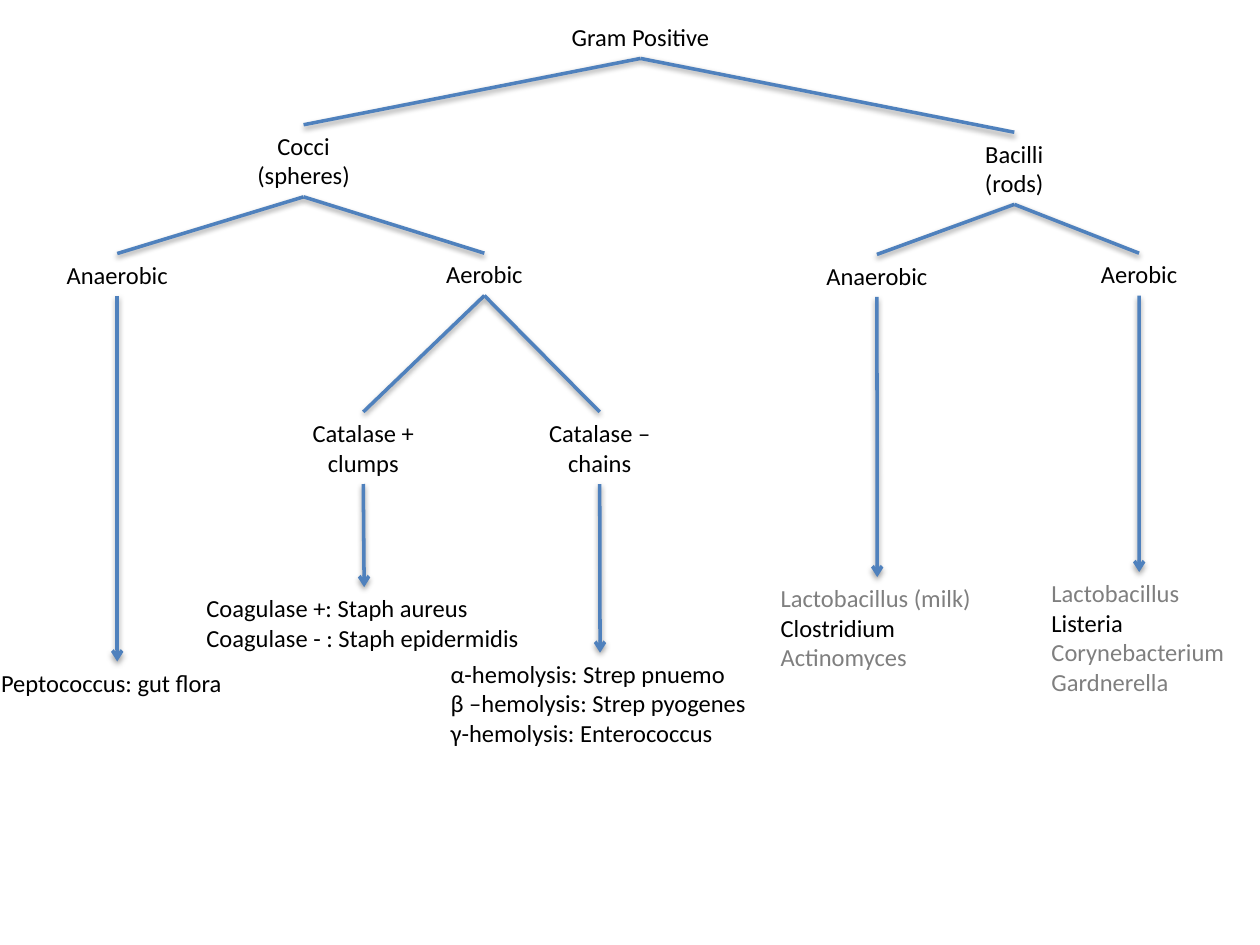
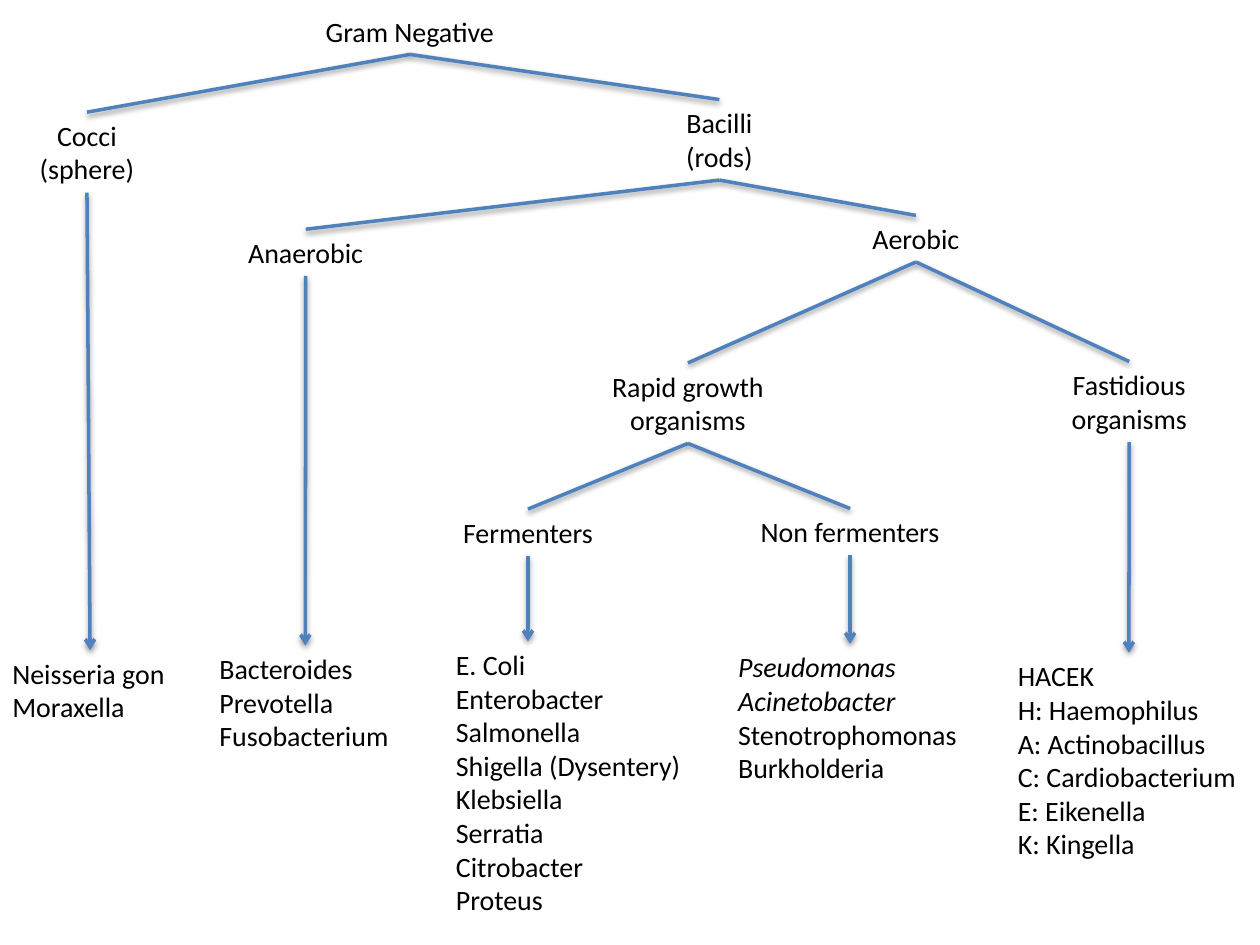
from dataclasses import dataclass

from lxml import etree
from pptx import Presentation
from pptx.dml.color import RGBColor
from pptx.enum.shapes import MSO_CONNECTOR
from pptx.enum.text import MSO_ANCHOR, MSO_AUTO_SIZE, PP_ALIGN
from pptx.oxml import parse_xml
from pptx.oxml.ns import nsdecls, qn
from pptx.slide import Slide
from pptx.util import Pt

STRAIGHT = MSO_CONNECTOR.STRAIGHT
CENTER, LEFT = PP_ALIGN.CENTER, PP_ALIGN.LEFT
TITLE_ONLY = 5

# Shared look
COLORS = {"text": "000000", "minor": "7F7F7F", "branch": "4F81BD", "shadow": "000000"}
FONT = "Calibri"
FRAME = {
    "word_wrap": False,
    "auto_size": MSO_AUTO_SIZE.SHAPE_TO_FIT_TEXT,
    "vertical_anchor": MSO_ANCHOR.TOP,
    "margin_left": Pt(7.2),
    "margin_right": Pt(7.2),
    "margin_top": Pt(3.6),
    "margin_bottom": Pt(3.6),
}
MINOR_GENERA = {"Lactobacillus (milk)", "Actinomyces", "Lactobacillus",
                "Corynebacterium", "Gardnerella"}
ITALIC_GENERA = {"Pseudomonas", "Acinetobacter"}
SHADOW = (
    f'<a:effectLst {nsdecls("a")}>'
    '<a:outerShdw blurRad="40000" dist="20000" dir="5400000" rotWithShape="0">'
    f'<a:srgbClr val="{COLORS["shadow"]}"><a:alpha val="38000"/></a:srgbClr>'
    "</a:outerShdw></a:effectLst>"
)


@dataclass(frozen=True)
class Group:
    """A box of the tree: centre, top and width in points; no children means a species list."""
    lines: tuple[str, ...]
    center: float
    top: float
    width: float
    children: tuple["Group", ...] = ()
    tip_shift: float = 0  # moves the arrow tip away from the centre


@dataclass(frozen=True)
class Tree:
    root: Group
    size: float
    line_height: float

    def bottom(self, group: Group) -> float:
        return group.top + self.height(group)

    def height(self, group: Group) -> float:
        return 7.2 + self.line_height * len(group.lines)


def draw_label(slide: Slide, tree: Tree, group: Group) -> None:
    place = {
        "left": Pt(group.center - group.width / 2),
        "top": Pt(group.top),
        "width": Pt(group.width),
        "height": Pt(tree.height(group)),
    }
    if group is tree.root:
        label = slide.shapes.title
        for name, value in place.items():
            setattr(label, name, value)
    else:
        label = slide.shapes.add_textbox(*place.values())

    frame = label.text_frame
    for name, value in FRAME.items():
        setattr(frame, name, value)
    frame.text = "\n".join(group.lines)
    for paragraph in frame.paragraphs:
        paragraph.alignment = CENTER if group.children else LEFT
        color = "minor" if paragraph.text in MINOR_GENERA else "text"
        style = {"name": FONT, "size": Pt(tree.size),
                 "italic": paragraph.text in ITALIC_GENERA}
        for run in paragraph.runs:
            for name, value in style.items():
                setattr(run.font, name, value)
            run.font.color.rgb = RGBColor.from_string(COLORS[color])


def draw_branch(slide: Slide, tree: Tree, parent: Group, child: Group) -> None:
    branch = slide.shapes.add_connector(
        STRAIGHT, Pt(parent.center), Pt(tree.bottom(parent)),
        Pt(child.center + child.tip_shift), Pt(child.top))
    branch.line.color.rgb = RGBColor.from_string(COLORS["branch"])
    branch.line.width = Pt(2)
    properties = branch.element.spPr
    if not child.children:
        etree.SubElement(properties.find(qn("a:ln")), qn("a:tailEnd"), type="arrow")
    properties.append(parse_xml(SHADOW))


def draw_group(slide: Slide, tree: Tree, group: Group) -> None:
    draw_label(slide, tree, group)
    for child in group.children:
        draw_branch(slide, tree, group, child)
        draw_group(slide, tree, child)


# Gram-positive tree
positive_cocci = Group(("Cocci", "(spheres)"), 173.5, 71.3, 67.7, (
    Group(("Anaerobic",), 67, 144.9, 73.4, (
        Group(("Peptococcus: gut flora",), 67, 378, 146.9),
    )),
    Group(("Aerobic",), 276.8, 144.7, 59, (
        Group(("Catalase +", "clumps"), 207.6, 235.4, 73.4, (
            Group(("Coagulase +: Staph aureus", "Coagulase - : Staph epidermidis"),
                  208.1, 335.5, 194.4),
        )),
        Group(("Catalase –", "chains"), 342.7, 235.4, 73.4, (
            Group(("α-hemolysis: Strep pnuemo", "β –hemolysis: Strep pyogenes",
                   "γ-hemolysis: Enterococcus"), 342.9, 373, 185),
        )),
    )),
))
positive_bacilli = Group(("Bacilli", "(rods)"), 579.6, 75.6, 48.2, (
    Group(("Anaerobic",), 501.1, 145.4, 73.4, (
        Group(("Lactobacillus (milk)", "Clostridium", "Actinomyces"), 501.3, 329.8, 124.6),
    )),
    Group(("Aerobic",), 650.9, 144.7, 59, (
        Group(("Lactobacillus", "Listeria", "Corynebacterium", "Gardnerella"),
              651, 326.9, 114.5),
    )),
))
gram_positive = Group(("Gram Positive",), 366, 9.2, 94.3, (positive_cocci, positive_bacilli))

# Gram-negative tree
negative_cocci = Group(("Cocci", "(sphere)"), 49.7, 64.1, 69.1, (
    Group(("Neisseria gon", "Moraxella"), 51.5, 371.5, 103),
))
rapid_growth = Group(("Rapid growth", "organisms"), 393.1, 207.4, 102.2, (
    Group(("Fermenters",), 301.7, 290.9, 90.7, (
        Group(("E. Coli", "Enterobacter", "Salmonella", "Shigella (Dysentery)",
               "Klebsiella", "Serratia", "Citrobacter", "Proteus"),
              325.8, 366.5, 144.7, tip_shift=-24.1),
    )),
    Group(("Non fermenters",), 485.8, 290.6, 118.8, (
        Group(("Pseudomonas", "Acinetobacter", "Stenotrophomonas", "Burkholderia"),
              485.3, 367.9, 141.1, tip_shift=0.5),
    )),
))
fastidious = Group(("Fastidious", "organisms"), 645.3, 206.6, 82.1, (
    Group(("HACEK", "H: Haemophilus", "A: Actinobacillus", "C: Cardiobacterium",
           "E: Eikenella", "K: Kingella"), 645.1, 373, 141.1),
))
negative_bacilli = Group(("Bacilli", "(rods)"), 411.1, 56.9, 53.3, (
    Group(("Anaerobic",), 174.7, 131, 81.4, (
        Group(("Bacteroides", "Prevotella", "Fusobacterium"), 174.5, 368.9, 112.3),
    )),
    Group(("Aerobic",), 523.4, 123.1, 64.8, (rapid_growth, fastidious)),
))
gram_negative = Group(("Gram Negative",), 234.2, 4.5, 113, (negative_cocci, negative_bacilli))

TREES = (Tree(gram_positive, 14, 17), Tree(gram_negative, 16, 19.4))


def main() -> None:
    deck = Presentation()
    deck.slide_width, deck.slide_height = Pt(720), Pt(540)
    for tree in TREES:
        slide = deck.slides.add_slide(deck.slide_layouts[TITLE_ONLY])
        draw_group(slide, tree, tree.root)
    deck.save("out.pptx")


if __name__ == "__main__":
    main()
